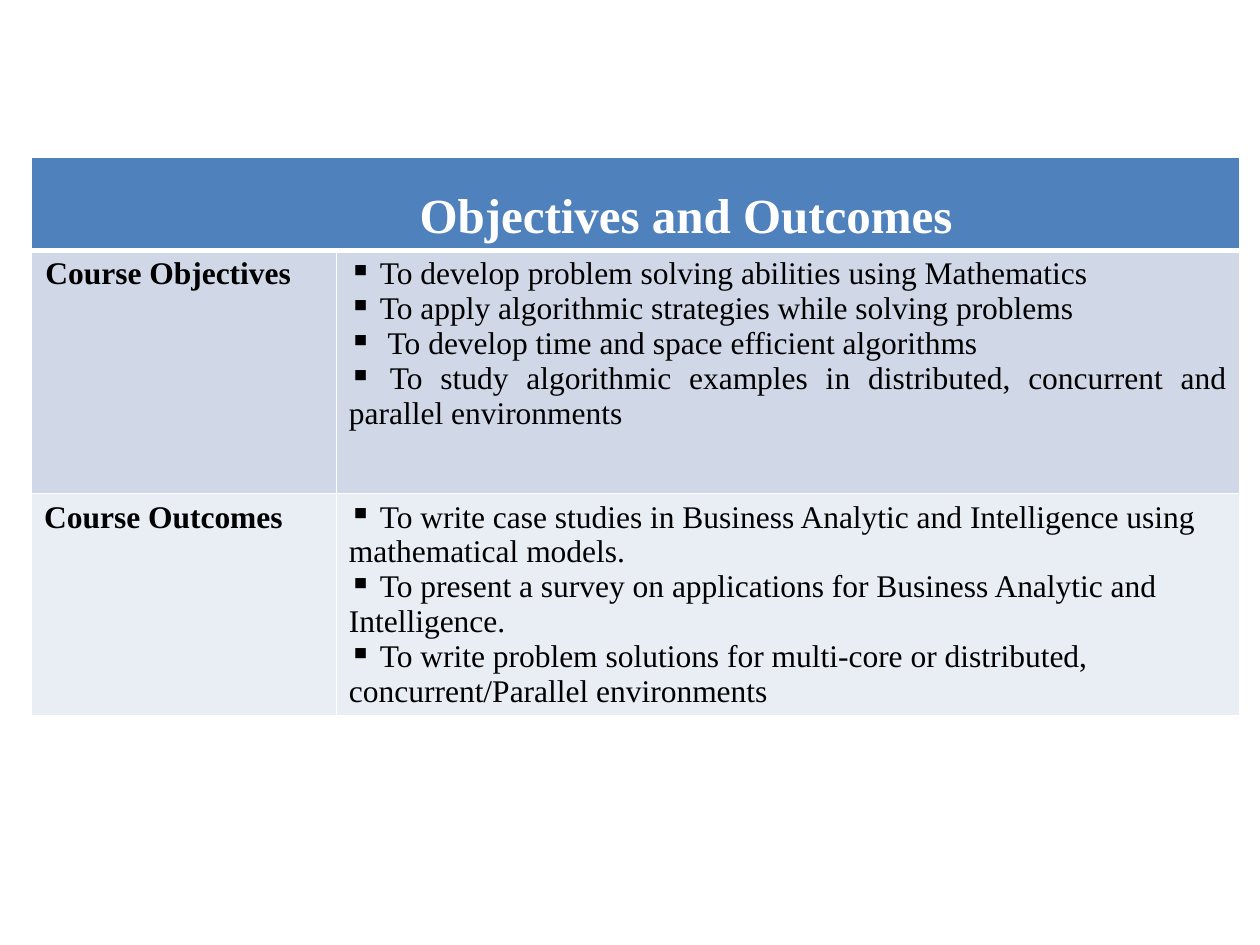
import pptx
import pptx.util
import pptx.dml.color
import pptx.enum.text
import pptx.oxml.ns
import lxml.etree

Inches, Pt = pptx.util.Inches, pptx.util.Pt
RGBColor = pptx.dml.color.RGBColor
ALIGN = pptx.enum.text.PP_ALIGN

WHITE = RGBColor(0xFF, 0xFF, 0xFF)
BLACK = RGBColor(0x00, 0x00, 0x00)
HEADER_BLUE = RGBColor(0x4F, 0x81, 0xBD)
BAND_DARK = RGBColor(0xD0, 0xD8, 0xE8)
BAND_LIGHT = RGBColor(0xE9, 0xED, 0xF4)

FONT = "Times New Roman"
TABLE_BOX = (0.25, 1.25, 9.59, 4.41)
COLUMNS = (2.42, 7.17)
ROWS = (0.72, 1.93, 1.76)

HEADING = "Objectives and Outcomes"
# Label, band colour, label indent, item alignment, items
SECTIONS = [
    ("Course Objectives", BAND_DARK, 0.01, ALIGN.JUSTIFY, [
        " To develop problem solving abilities using Mathematics",
        " To apply algorithmic strategies while solving problems",
        "  To develop time and space efficient algorithms",
        " To study algorithmic examples in distributed, concurrent and parallel environments",
    ]),
    ("Course Outcomes", BAND_LIGHT, 0, ALIGN.LEFT, [
        " To write case studies in Business Analytic and Intelligence using mathematical models.",
        " To present a survey on applications for Business Analytic and Intelligence.",
        " To write problem solutions for multi-core or distributed, concurrent/Parallel environments",
    ]),
]


def add_child(parent, tag, **attributes):
    return lxml.etree.SubElement(parent, pptx.oxml.ns.qn(tag), attributes)


def style_cell(cell, fill, bottom_width=1):
    """Draw white borders, then fill the cell."""
    properties = cell._tc.get_or_add_tcPr()
    for side in ("L", "R", "T", "B"):
        width = bottom_width if side == "B" else 1
        line = add_child(properties, "a:ln" + side, w=str(Pt(width)))
        add_child(add_child(line, "a:solidFill"), "a:srgbClr", val=str(WHITE))
    cell.fill.solid()
    cell.fill.fore_color.rgb = fill


def write(para, text, size=18, color=BLACK, bold=False, align=ALIGN.LEFT, indent=0):
    para.alignment = align
    properties = para._p.get_or_add_pPr()
    properties.set("marL", str(Inches(indent)))
    properties.set("indent", "0")
    span = para.add_run()
    span.text = text
    span.font.name = FONT
    span.font.size = Pt(size)
    span.font.bold = bold
    span.font.color.rgb = color


def write_bullets(cell, items, align):
    frame = cell.text_frame
    for number, item in enumerate(items):
        para = frame.add_paragraph() if number else frame.paragraphs[0]
        write(para, item, align=align)
        add_child(para._p.get_or_add_pPr(), "a:buChar", char="▪")


def add_header(table):
    """Heading across both columns."""
    for cell in table.rows[0].cells:
        style_cell(cell, HEADER_BLUE, bottom_width=3)
    heading = table.cell(0, 0)
    heading.merge(table.cell(0, 1))
    para = heading.text_frame.paragraphs[0]
    write(para, HEADING, 28, WHITE, True, ALIGN.CENTER, indent=0.8)
    para.line_spacing = Pt(45.9)


def add_course_table(page, box):
    left, top, width, height = (Inches(length) for length in box)
    table = page.shapes.add_table(len(ROWS), len(COLUMNS), left, top, width, height).table
    for column, share in zip(table.columns, COLUMNS):
        column.width = int(width * share / sum(COLUMNS))
    for row, share in zip(table.rows, ROWS):
        row.height = int(height * share / sum(ROWS))

    add_header(table)

    # One row for each section: label, then bulleted items
    for row, (label, band, indent, align, items) in enumerate(SECTIONS, start=1):
        label_cell, items_cell = table.cell(row, 0), table.cell(row, 1)
        for cell in (label_cell, items_cell):
            style_cell(cell, band)
        write(label_cell.text_frame.paragraphs[0], label, bold=True, indent=indent)
        write_bullets(items_cell, items, align)


def main():
    deck = pptx.Presentation()
    deck.slide_width, deck.slide_height = Inches(10), Inches(7.5)
    page = deck.slides.add_slide(deck.slide_layouts.get_by_name("Blank"))
    add_course_table(page, TABLE_BOX)
    deck.save("out.pptx")


if __name__ == "__main__":
    main()
